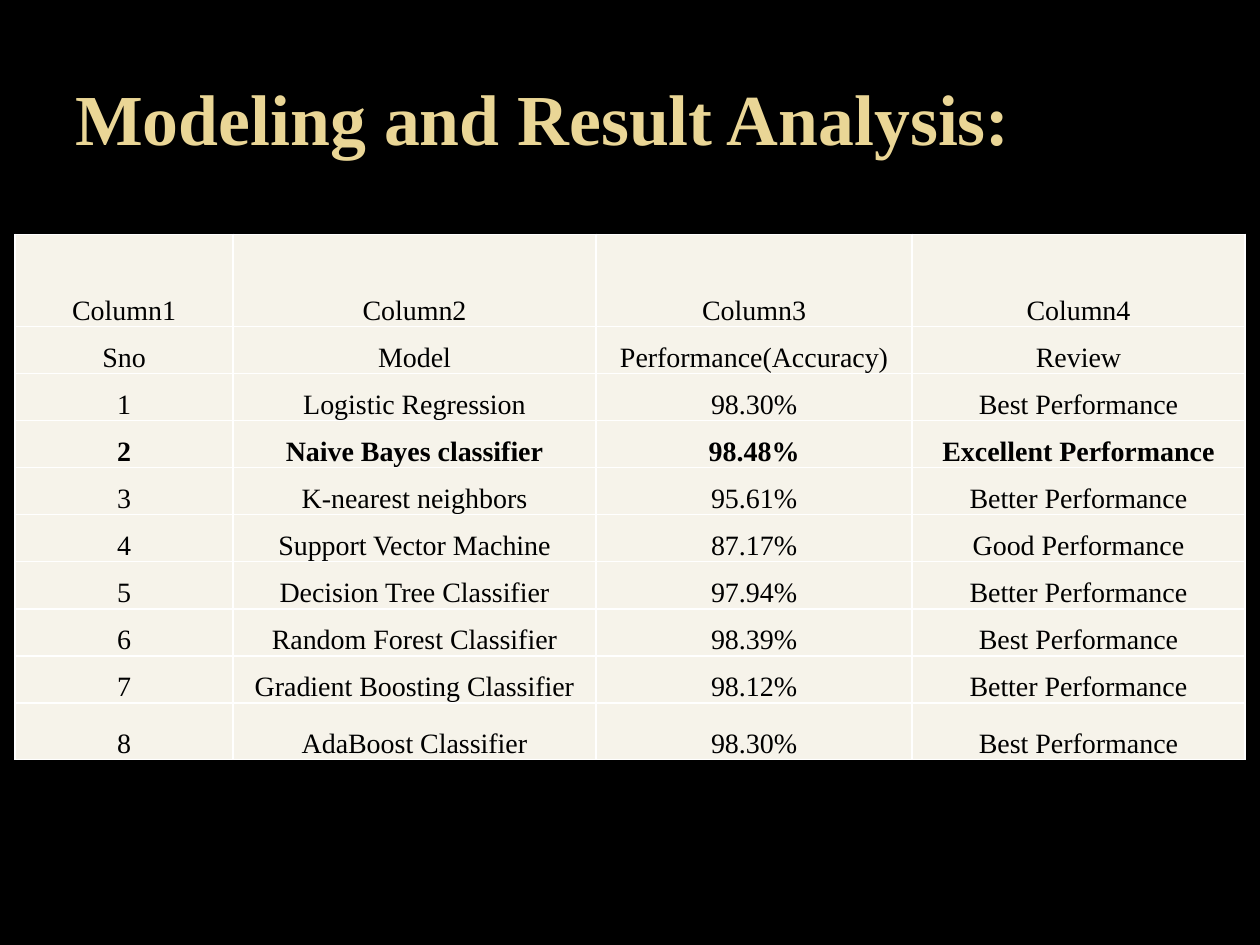
"""Build the model comparison slide with a title and a results table."""
import pptx
import pptx.dml.color
import pptx.enum.text
import pptx.oxml.ns
import pptx.util
from lxml import etree

Inches, Pt = pptx.util.Inches, pptx.util.Pt
RGB = pptx.dml.color.RGBColor.from_string
ANCHOR, ALIGN = pptx.enum.text.MSO_ANCHOR, pptx.enum.text.PP_ALIGN
qn = pptx.oxml.ns.qn
COLORS = {"background": "000000", "title": "EAD696", "cell": "F6F3EA",
          "text": "000000", "border": "FFFFFF"}
ROWS = [
    ("Column1", "Column2", "Column3", "Column4"),
    ("Sno", "Model", "Performance(Accuracy)", "Review"),
    ("1", "Logistic Regression", "98.30%", "Best Performance"),
    ("2", "Naive Bayes classifier", "98.48%", "Excellent Performance"),
    ("3", "K-nearest neighbors", "95.61%", "Better Performance"),
    ("4", "Support Vector Machine", "87.17%", "Good Performance"),
    ("5", "Decision Tree Classifier", "97.94%", "Better Performance"),
    ("6", "Random Forest Classifier", "98.39%", "Best Performance"),
    ("7", "Gradient Boosting Classifier", "98.12%", "Better Performance"),
    ("8", "AdaBoost Classifier", "98.30%", "Best Performance"),
]
COLUMN_WIDTHS = [1.73, 2.88, 2.51, 2.64]
TABLE_HEIGHT, HEADER_HEIGHT, LAST_HEIGHT = 4.17, 0.73, 0.45
BEST_ROW = 3
CELL_FORMAT = {"vertical_anchor": ANCHOR.BOTTOM, "margin_left": Inches(0.01),
               "margin_right": Inches(0.01), "margin_top": Inches(0.01),
               "margin_bottom": 0}


def write(p, text, size, color, bold):
    r = p.add_run()
    r.text = text
    for name, value in {"name": "Times New Roman", "size": Pt(size), "bold": bold}.items():
        setattr(r.font, name, value)
    r.font.color.rgb = RGB(COLORS[color])


def add_borders(cell):
    tc_pr = cell._tc.get_or_add_tcPr()
    for side in ("lnL", "lnR", "lnT", "lnB"):
        line = etree.SubElement(tc_pr, qn("a:" + side), w=str(Pt(1)))
        fill = etree.SubElement(line, qn("a:solidFill"))
        etree.SubElement(fill, qn("a:srgbClr"), val=COLORS["border"])


prs = pptx.Presentation()
prs.slide_width, prs.slide_height = Inches(10), Inches(7.5)
s = prs.slides.add_slide(prs.slide_layouts[6])
s.background.fill.solid()
s.background.fill.fore_color.rgb = RGB(COLORS["background"])

title = s.shapes.add_textbox(Inches(0.5), Inches(0.3), Inches(9), Inches(1.25))
tf = title.text_frame
tf.word_wrap = True
tf.vertical_anchor = ANCHOR.MIDDLE
write(tf.paragraphs[0], "Modeling and Result Analysis:", 41, "title", True)

table = s.shapes.add_table(len(ROWS), len(COLUMN_WIDTHS), Inches(0.12), Inches(1.86),
                           Inches(sum(COLUMN_WIDTHS)), Inches(TABLE_HEIGHT)).table
table.first_row = table.horz_banding = False
for column, width in zip(table.columns, COLUMN_WIDTHS):
    column.width = Inches(width)
middle_height = (TABLE_HEIGHT - HEADER_HEIGHT - LAST_HEIGHT) / (len(ROWS) - 2)
heights = [HEADER_HEIGHT] + [middle_height] * (len(ROWS) - 2) + [LAST_HEIGHT]

for i, (values, height) in enumerate(zip(ROWS, heights)):
    table.rows[i].height = Inches(height)
    for j, value in enumerate(values):
        cell = table.cell(i, j)
        for name, setting in CELL_FORMAT.items():
            setattr(cell, name, setting)
        add_borders(cell)
        cell.fill.solid()
        cell.fill.fore_color.rgb = RGB(COLORS["cell"])
        p = cell.text_frame.paragraphs[0]
        p.alignment = ALIGN.CENTER
        write(p, value, 16, "text", i == BEST_ROW)

prs.save("out.pptx")
